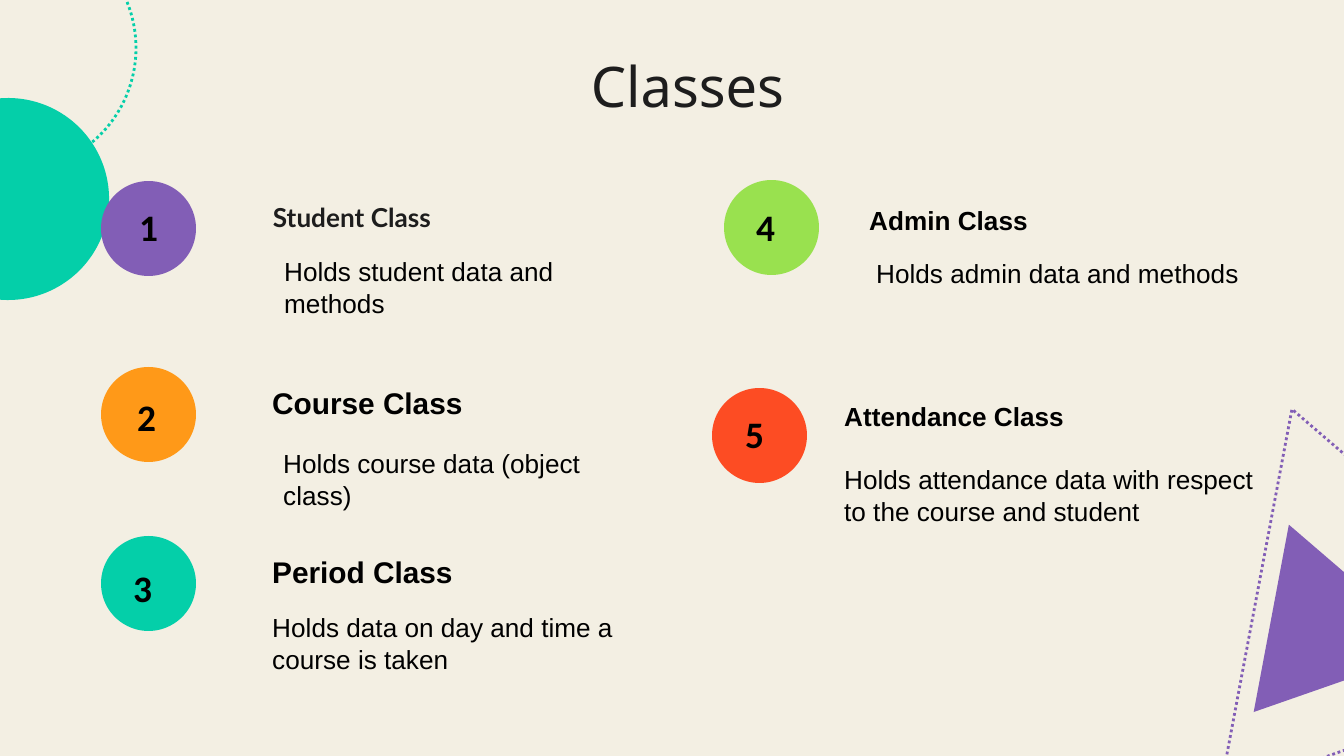
import pptx
import pptx.util
import pptx.dml.color
import pptx.enum.dml
import pptx.enum.shapes
import pptx.enum.text

RGBColor = pptx.dml.color.RGBColor
CREAM = RGBColor(0xF3, 0xEF, 0xE3)
TEAL = RGBColor(0x04, 0xCF, 0xA9)
PURPLE = RGBColor(0x82, 0x5E, 0xB6)
ORANGE = RGBColor(0xFF, 0x99, 0x18)
LIME = RGBColor(0x99, 0xE1, 0x4F)
RED = RGBColor(0xFD, 0x4C, 0x23)
INK = RGBColor(0x1D, 0x1D, 0x1D)
BLACK = RGBColor(0, 0, 0)

OVAL = pptx.enum.shapes.MSO_SHAPE.OVAL
TRIANGLE = pptx.enum.shapes.MSO_SHAPE.ISOSCELES_TRIANGLE
TOP = pptx.enum.text.MSO_ANCHOR.TOP
BOTTOM = pptx.enum.text.MSO_ANCHOR.BOTTOM

EMU_PER_PX = 914400 / 134.4
PADDING = 13
BADGE_SIZE = 95

CLASSES = [
    ("1", PURPLE, (101, 181), (126, 198),
     "Student Class", (260, 180, 352, 66),
     "Holds student data and methods", (271, 249, 327, 77)),
    ("2", ORANGE, (101, 367), (124, 388),
     "Course Class", (259, 378, 288, 50),
     "Holds course data (object class)", (270, 441, 366, 77)),
    ("3", TEAL, (101, 536), (120, 559),
     "Period Class", (259, 547, 288, 50),
     "Holds data on day and time a course is taken", (259, 605, 399, 77)),
    ("4", LIME, (724, 180), (743, 198),
     "Admin Class", (856, 198, 379, 46),
     "Holds admin data and methods", (863, 251, 427, 46)),
    ("5", RED, (712, 388), (732, 405),
     "Attendance Class", (831, 394, 386, 46),
     "Holds attendance data with respect to the course and student",
     (831, 457, 450, 77)),
]
HEADING_STYLES = {
    "Student Class": ("Lato", 14, INK),
    "Course Class": ("Arial", 16, BLACK),
    "Period Class": ("Arial", 16, BLACK),
    "Admin Class": ("Arial", 14, BLACK),
    "Attendance Class": ("Arial", 14, BLACK),
}


def px(length):
    return pptx.util.Emu(round(length * EMU_PER_PX))


def style_paragraph(paragraph, font_name, size, color, bold=False):
    font = paragraph.font
    font.name = font_name
    font.size = pptx.util.Pt(size)
    font.color.rgb = color
    font.bold = bold


def add_filled(slide, kind, box, color, rotation=0):
    shape = slide.shapes.add_shape(kind, *map(px, box))
    shape.shadow.inherit = False
    shape.rotation = rotation
    shape.fill.solid()
    shape.fill.fore_color.rgb = color
    shape.line.fill.background()


def add_dotted(slide, kind, box, color, rotation):
    shape = slide.shapes.add_shape(kind, *map(px, box))
    shape.shadow.inherit = False
    shape.rotation = rotation
    shape.fill.background()
    shape.line.color.rgb = color
    shape.line.width = pptx.util.Pt(1.5)
    shape.line.dash_style = pptx.enum.dml.MSO_LINE.ROUND_DOT


def add_text(slide, text, box, font_name, size, color=BLACK, bold=False):
    frame = slide.shapes.add_textbox(*map(px, box)).text_frame
    frame.word_wrap = True
    frame.text = text
    style_paragraph(frame.paragraphs[0], font_name, size, color, bold)
    return frame


def set_padding(frame):
    frame.margin_left = frame.margin_right = px(PADDING)
    frame.margin_top = frame.margin_bottom = px(PADDING)


def add_title(slide, text):
    title = slide.shapes.title
    title.left, title.top, title.width, title.height = map(px, (121, 39, 1133, 85))
    frame = title.text_frame
    frame.text = text
    frame.word_wrap = True
    frame.auto_size = pptx.enum.text.MSO_AUTO_SIZE.NONE
    frame.vertical_anchor = TOP
    set_padding(frame)
    paragraph = frame.paragraphs[0]
    paragraph.alignment = pptx.enum.text.PP_ALIGN.CENTER
    style_paragraph(paragraph, "Noto Sans", 30, INK)


def add_decorations(slide):
    add_filled(slide, OVAL, (-93, 98, 202, 202), TEAL, 131.9)
    add_dotted(slide, OVAL, (-110, -75, 246, 246), TEAL, 131.9)
    add_dotted(slide, TRIANGLE, (1134, 496, 392, 339), PURPLE, 220.7)
    add_filled(slide, TRIANGLE, (1212, 567, 191, 165), PURPLE, 220.7)


def add_class(slide, number, color, badge, number_at, heading, heading_box,
              description, description_box):
    add_filled(slide, OVAL, (*badge, BADGE_SIZE, BADGE_SIZE), color)
    add_text(slide, number, (*number_at, 50, 59), "Calibri", 20, bold=True)
    frame = add_text(slide, heading, heading_box, *HEADING_STYLES[heading], bold=True)
    if heading == "Student Class":
        set_padding(frame)
        frame.vertical_anchor = BOTTOM
        frame.paragraphs[0].line_spacing = 1.15
    add_text(slide, description, description_box, "Arial", 14)


def main():
    deck = pptx.Presentation()
    deck.slide_width, deck.slide_height = px(1344), px(756)
    slide = deck.slides.add_slide(deck.slide_layouts[5])
    slide.background.fill.solid()
    slide.background.fill.fore_color.rgb = CREAM
    add_decorations(slide)
    add_title(slide, "Classes")
    for entry in CLASSES:
        add_class(slide, *entry)
    deck.save("out.pptx")


if __name__ == "__main__":
    main()
